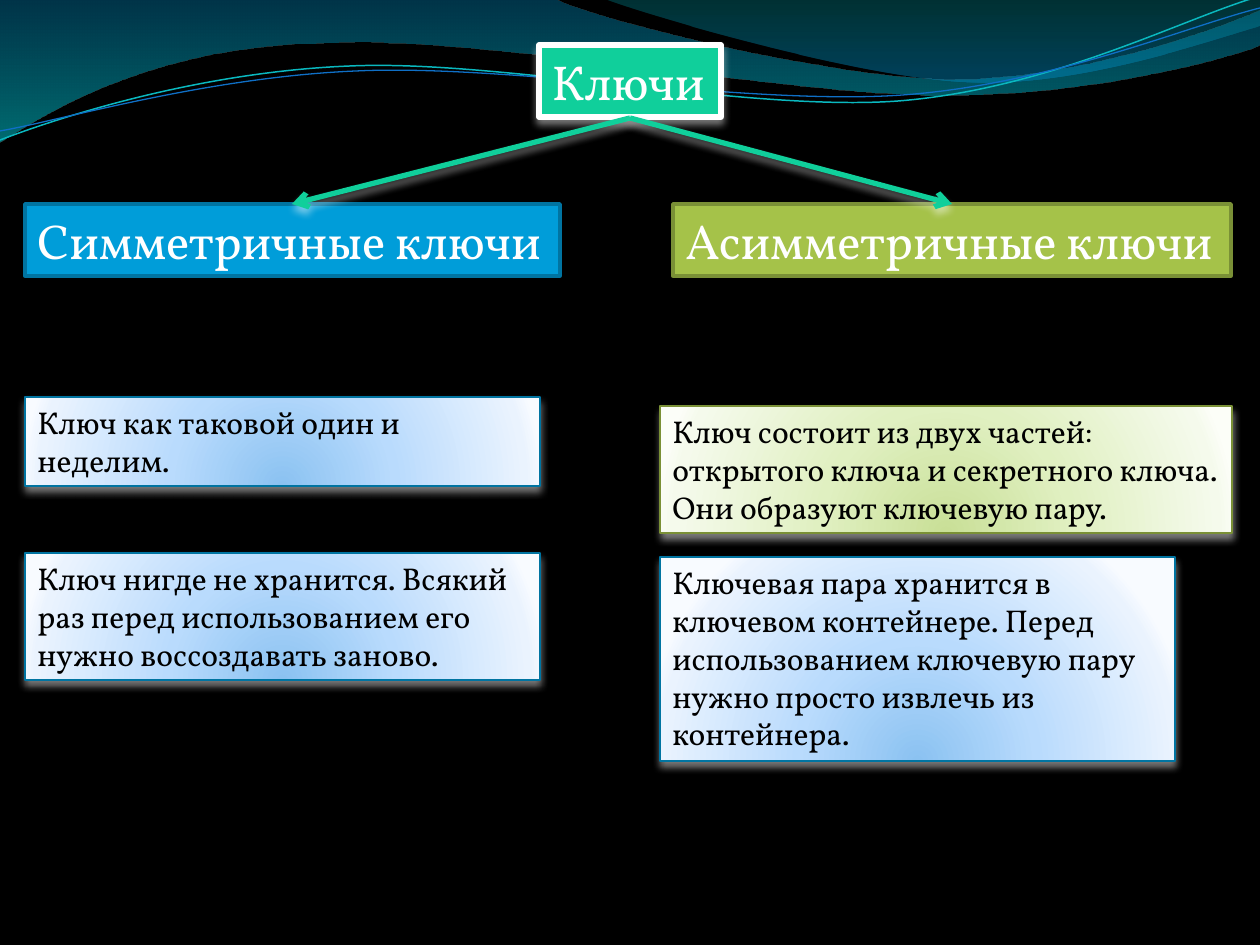
from dataclasses import dataclass
from typing import Optional

from lxml import etree
from pptx import Presentation
from pptx.dml.color import RGBColor
from pptx.enum.shapes import MSO_CONNECTOR, MSO_SHAPE
from pptx.enum.text import MSO_ANCHOR, MSO_AUTO_SIZE, PP_ALIGN
from pptx.oxml.ns import qn
from pptx.util import Pt

RECTANGLE = MSO_SHAPE.RECTANGLE
STRAIGHT = MSO_CONNECTOR.STRAIGHT
LEFT, TOP = PP_ALIGN.LEFT, MSO_ANCHOR.TOP
FIXED_SIZE = MSO_AUTO_SIZE.NONE

EMU_PER_PX = 914400 / 126
SLIDE_W, SLIDE_H = 1260, 945
FONT = "Vollkorn"

BLACK = RGBColor(0x00, 0x00, 0x00)
WHITE = RGBColor(0xFF, 0xFF, 0xFF)
GREEN = RGBColor(0x10, 0xCF, 0x9B)
BLUE = RGBColor(0x00, 0x9D, 0xD9)
DARK_BLUE = RGBColor(0x00, 0x74, 0xA1)
OLIVE = RGBColor(0xA5, 0xC2, 0x49)
DARK_OLIVE = RGBColor(0x7A, 0x90, 0x36)
TEAL = RGBColor(0x00, 0xC6, 0xCF)
DARK_TEAL = RGBColor(0x00, 0xA1, 0xA9)
SEA_BLUE = RGBColor(0x00, 0x8B, 0xBF)
THREAD_TEAL = RGBColor(0x0A, 0xB8, 0xBF)
THREAD_BLUE = RGBColor(0x0F, 0x6F, 0xC6)

# Gradient stops: position %, colour, opacity %
BLUE_GLOW = [(0, RGBColor(0x8B, 0xC2, 0xF1), 100), (43, RGBColor(0xB9, 0xDB, 0xFD), 100),
             (93, RGBColor(0xEA, 0xF3, 0xFE), 100), (100, RGBColor(0xF8, 0xFB, 0xFF), 100)]
OLIVE_GLOW = [(0, RGBColor(0xC9, 0xDF, 0x97), 100), (43, RGBColor(0xE0, 0xF0, 0xC1), 100),
              (93, RGBColor(0xF5, 0xFA, 0xEC), 100), (100, RGBColor(0xFC, 0xFE, 0xF8), 100)]


@dataclass
class Wave:
    """Segments of one point are straight, segments of three are Bezier curves."""
    start: tuple
    segments: list
    stops: Optional[list] = None
    line: Optional[RGBColor] = None
    line_pt: float = 0


@dataclass
class Box:
    text: str
    left: int
    top: int
    width: int
    height: int
    line: RGBColor
    fill: Optional[RGBColor] = None
    glow: Optional[list] = None


WAVES = [
    Wave((0, 0), [[(554, -1)],
                  [(600, 21), (837, 79), (955, 79)], [(1075, 79), (1207, 33), (1260, 11)],
                  [(1261, 45)],
                  [(1239, 55), (1096, 96), (940, 95)], [(784, 95), (481, 35), (324, 43)],
                  [(163, 45), (58, 105), (-1, 142)]],
         stops=[(0, DARK_BLUE, 45), (100, TEAL, 55)]),
    Wave((604, -1), [[(641, 14), (859, 78), (969, 82)], [(1079, 87), (1211, 40), (1260, 26)],
                     [(1260, 0)]],
         stops=[(0, DARK_TEAL, 30), (80, SEA_BLUE, 45)]),
    Wave((0, 140), [[(60, 117), (199, 72), (349, 66)], [(498, 59), (747, 112), (898, 101)],
                    [(1050, 89), (1182, 19), (1257, -3)]], line=THREAD_TEAL, line_pt=0.85),
    Wave((0, 131), [[(59, 121), (207, 77), (357, 71)], [(508, 64), (752, 106), (903, 95)],
                    [(1053, 84), (1188, 26), (1260, 8)]], line=THREAD_BLUE, line_pt=0.75),
]
ROOT = Box("Ключи", 539, 45, 182, 72, WHITE, fill=GREEN)
KEY_TYPES = [
    Box("Симметричные ключи", 25, 204, 535, 72, DARK_BLUE, fill=BLUE),
    Box("Асимметричные ключи", 673, 204, 558, 72, DARK_OLIVE, fill=OLIVE),
]
ARROW_START = (630, 118)
ARROW_ENDS = [(292, 204), (952, 204)]
NOTES = [
    Box("Ключ как таковой один и неделим.", 25, 397, 515, 89, DARK_BLUE, glow=BLUE_GLOW),
    Box("Ключ нигде не хранится. Всякий раз перед использованием его нужно "
        "воссоздавать заново.", 25, 553, 515, 127, DARK_BLUE, glow=BLUE_GLOW),
    Box("Ключ состоит из двух частей: открытого ключа и секретного ключа. "
        "Они образуют ключевую пару.", 660, 406, 572, 127, DARK_OLIVE, glow=OLIVE_GLOW),
    Box("Ключевая пара хранится в ключевом контейнере. Перед использованием "
        "ключевую пару нужно просто извлечь из контейнера.", 660, 557, 515, 204,
        DARK_BLUE, glow=BLUE_GLOW),
]


def px(length: float) -> int:
    return round(length * EMU_PER_PX)


def add_node(parent, tag: str, **attributes):
    return etree.SubElement(parent, qn(tag), {k: str(v) for k, v in attributes.items()})


def add_color(parent, color: RGBColor, opacity: int) -> None:
    node = add_node(parent, "a:srgbClr", val=color)
    if opacity < 100:
        add_node(node, "a:alpha", val=opacity * 1000)


def set_gradient(shape, stops: list, radial: bool) -> None:
    shape.fill.gradient()
    gradient = shape._element.spPr.find(qn("a:gradFill"))
    for child in list(gradient):
        gradient.remove(child)
    stop_list = add_node(gradient, "a:gsLst")
    for position, color, opacity in stops:
        add_color(add_node(stop_list, "a:gs", pos=position * 1000), color, opacity)
    if radial:
        circle = add_node(gradient, "a:path", path="circle")
        add_node(circle, "a:fillToRect", l=50000, t=130000, r=50000, b=-30000)
    else:
        add_node(gradient, "a:lin", ang=5400000, scaled=0)


def add_shadow(shape) -> None:
    properties = shape._element.spPr
    effects = properties.find(qn("a:effectLst"))
    if effects is None:
        effects = add_node(properties, "a:effectLst")
    shadow = add_node(effects, "a:outerShdw", blurRad=Pt(4.5), dist=Pt(3), dir=5400000,
                      algn="ctr", rotWithShape=0)
    add_color(shadow, WHITE, 48)


def write_text(shape, text: str, *, size: int, color: RGBColor, wrap: bool) -> None:
    frame = shape.text_frame
    frame.text = text
    frame.word_wrap = wrap
    frame.auto_size = FIXED_SIZE
    frame.vertical_anchor = TOP
    paragraph = frame.paragraphs[0]
    paragraph.alignment = LEFT
    font = paragraph.runs[0].font
    font.name, font.size, font.color.rgb = FONT, Pt(size), color


def bend_segments(shape, segments: list) -> None:
    """Merge the three straight steps of each curve into one Bezier step."""
    steps = iter(list(shape._element.spPr.iter(qn("a:lnTo"))))
    for segment in segments:
        first, *others = [next(steps) for _ in segment]
        if others:
            first.tag = qn("a:cubicBezTo")
        for step in others:
            first.append(step[0])
            step.getparent().remove(step)


def draw_wave(slide, wave: Wave) -> None:
    outline = [(px(x), px(y)) for x, y in [wave.start, *sum(wave.segments, [])]]
    builder = slide.shapes.build_freeform(*outline[0], scale=1.0)
    builder.add_line_segments(outline[1:], close=wave.stops is not None)
    shape = builder.convert_to_shape()
    bend_segments(shape, wave.segments)
    shape.shadow.inherit = False
    if wave.stops:
        set_gradient(shape, wave.stops, radial=False)
        shape.line.fill.background()
    else:
        shape.fill.background()
        shape.line.color.rgb = wave.line
        shape.line.width = Pt(wave.line_pt)


def draw_box(slide, box: Box, *, line_pt: float, shadow: bool, placeholder=None) -> None:
    bounds = [px(v) for v in (box.left, box.top, box.width, box.height)]
    shape = placeholder
    if shape is None:
        shape = slide.shapes.add_shape(RECTANGLE, *bounds)
    else:
        shape.left, shape.top, shape.width, shape.height = bounds
        slide.shapes._spTree.append(shape._element)  # in front of the waves
    shape.shadow.inherit = False
    if box.glow:
        set_gradient(shape, box.glow, radial=True)
        write_text(shape, box.text, size=18, color=BLACK, wrap=True)
    else:
        shape.fill.solid()
        shape.fill.fore_color.rgb = box.fill
        write_text(shape, box.text, size=28, color=WHITE, wrap=False)
    shape.line.color.rgb = box.line
    shape.line.width = Pt(line_pt)
    if shadow:
        add_shadow(shape)


def draw_arrow(slide, start: tuple, end: tuple) -> None:
    arrow = slide.shapes.add_connector(STRAIGHT, *(px(v) for v in (*start, *end)))
    arrow.line.color.rgb = GREEN
    arrow.line.width = Pt(3)
    add_node(arrow.line._get_or_add_ln(), "a:tailEnd", type="arrow")
    add_shadow(arrow)


def main() -> None:
    deck = Presentation()
    deck.slide_width, deck.slide_height = px(SLIDE_W), px(SLIDE_H)
    slide = deck.slides.add_slide(deck.slide_layouts[5])
    slide.background.fill.solid()
    slide.background.fill.fore_color.rgb = BLACK
    # Wavy header
    for wave in WAVES:
        draw_wave(slide, wave)
    # Key hierarchy
    draw_box(slide, ROOT, line_pt=3, shadow=True, placeholder=slide.shapes.title)
    for key_type in KEY_TYPES:
        draw_box(slide, key_type, line_pt=2, shadow=False)
    for end in ARROW_ENDS:
        draw_arrow(slide, ARROW_START, end)
    # Notes on each key type
    for note in NOTES:
        draw_box(slide, note, line_pt=0.75, shadow=True)
    deck.save("out.pptx")


if __name__ == "__main__":
    main()
